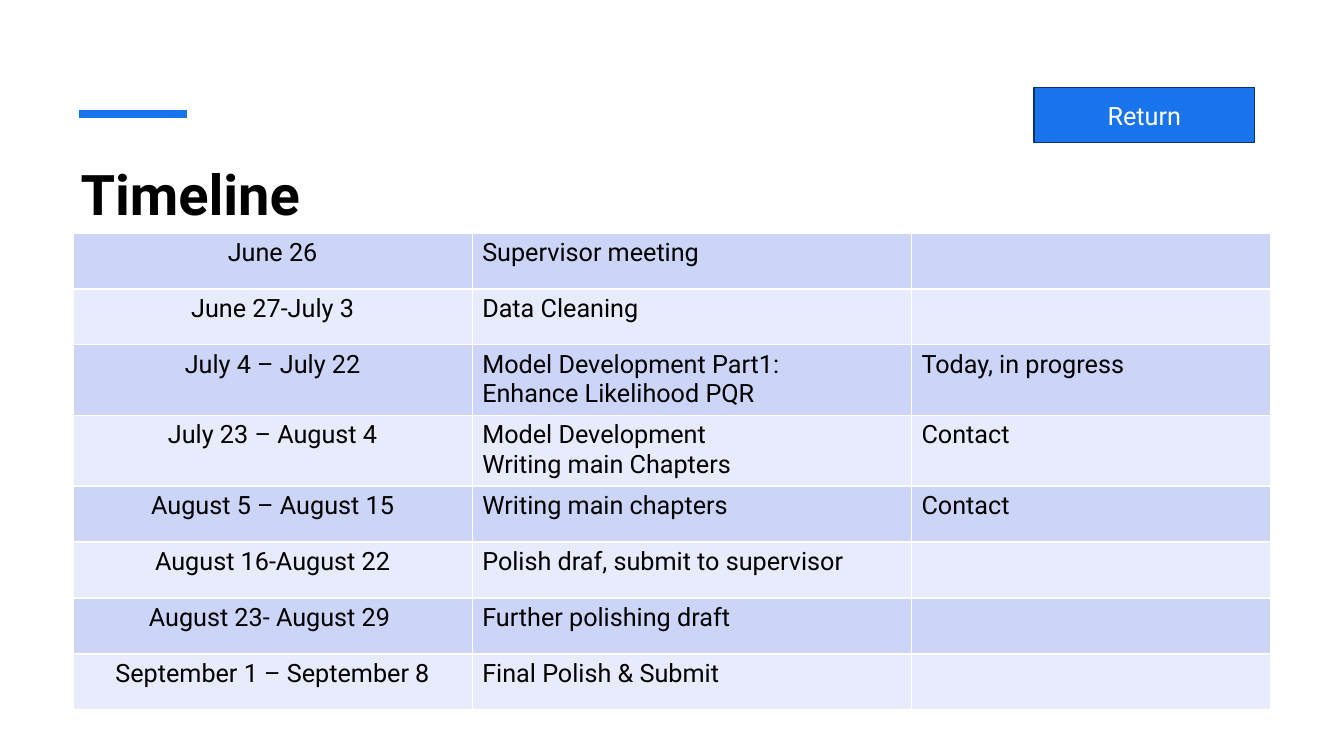
import pptx
import pptx.dml.color
import pptx.enum.shapes
import pptx.enum.text
import pptx.oxml
import pptx.oxml.ns
import pptx.util

Cm = pptx.util.Cm
Pt = pptx.util.Pt
ALIGN = pptx.enum.text.PP_ALIGN
ANCHOR = pptx.enum.text.MSO_ANCHOR

FONT = "Roboto"
BLUE, NAVY, WHITE, BLACK = "1973EB", "0B3267", "FFFFFF", "000000"
BANDS = ["CCD5F7", "E8EBFB"]
SCHEDULE = [
    ("June 26", "Supervisor meeting", ""),
    ("June 27-July 3", "Data Cleaning", ""),
    ("July 4 – July 22", "Model Development Part1: \vEnhance Likelihood PQR", "Today, in progress"),
    ("July 23 – August 4", "Model Development \vWriting main Chapters", "Contact"),
    ("August 5 – August 15", "Writing main chapters", "Contact"),
    ("August 16-August 22", "Polish draf, submit to supervisor", ""),
    ("August 23- August 29 ", "Further polishing draft", ""),
    ("September 1 – September 8", "Final Polish & Submit", ""),
]
COLUMN_WIDTHS = [10.06, 11.07, 9.04]
ROW_HEIGHT = 1.41


def color(value):
    return pptx.dml.color.RGBColor.from_string(value)


def write(frame, text, size, ink, align=ALIGN.LEFT, bold=False):
    frame.text = text
    frame.word_wrap = True
    para = frame.paragraphs[0]
    para.alignment = align
    para.font.size = Pt(size)
    for span in para.runs:
        span.font.name = FONT
        span.font.size = Pt(size)
        span.font.bold = bold
        span.font.color.rgb = color(ink)


def add_borders(cell):
    properties = cell._tc.get_or_add_tcPr()
    for side in ("lnL", "lnR", "lnT", "lnB"):
        properties.append(pptx.oxml.parse_xml(
            f'<a:{side} {pptx.oxml.ns.nsdecls("a")} w="{Pt(1)}">'
            f'<a:solidFill><a:srgbClr val="{WHITE}"/></a:solidFill></a:{side}>'))


def add_accent(page):
    accent = page.shapes.add_connector(
        pptx.enum.shapes.MSO_CONNECTOR.STRAIGHT, Cm(1.98), Cm(2.87), Cm(4.7), Cm(2.87))
    accent.line.color.rgb = color(BLUE)
    accent.line.width = Pt(6)
    accent._element.spPr.append(pptx.oxml.parse_xml(
        f'<a:effectLst {pptx.oxml.ns.nsdecls("a")}/>'))


def add_title(page):
    box = page.shapes.add_textbox(Cm(1.78), Cm(3.9), Cm(30.25), Cm(1.9))
    write(box.text_frame, "Timeline", 40, BLACK, bold=True)


def add_schedule(page):
    table = page.shapes.add_table(
        len(SCHEDULE), len(COLUMN_WIDTHS), Cm(1.84), Cm(5.87),
        Cm(sum(COLUMN_WIDTHS)), Cm(ROW_HEIGHT * len(SCHEDULE))).table
    table.first_row = False
    for column, width in zip(table.columns, COLUMN_WIDTHS):
        column.width = Cm(width)
    for row_index, entry in enumerate(SCHEDULE):
        table.rows[row_index].height = Cm(ROW_HEIGHT)
        for column_index, text in enumerate(entry):
            cell = table.cell(row_index, column_index)
            align = ALIGN.LEFT if column_index else ALIGN.CENTER
            write(cell.text_frame, text, 18, BLACK, align)
            add_borders(cell)
            cell.fill.solid()
            cell.fill.fore_color.rgb = color(BANDS[row_index % 2])


def add_return_button(page):
    button = page.shapes.add_shape(
        pptx.enum.shapes.MSO_SHAPE.RECTANGLE, Cm(26.06), Cm(2.21), Cm(5.56), Cm(1.38))
    button.shadow.inherit = False
    button.fill.solid()
    button.fill.fore_color.rgb = color(BLUE)
    button.line.color.rgb = color(NAVY)
    button.line.width = Pt(1)
    button.text_frame.vertical_anchor = ANCHOR.MIDDLE
    write(button.text_frame, "Return", 18, WHITE, ALIGN.CENTER)


def main():
    deck = pptx.Presentation()
    deck.slide_width, deck.slide_height = Cm(33.87), Cm(19.05)
    page = deck.slides.add_slide(deck.slide_layouts[6])
    add_accent(page)
    add_title(page)
    add_schedule(page)
    add_return_button(page)
    deck.save("out.pptx")


if __name__ == "__main__":
    main()
